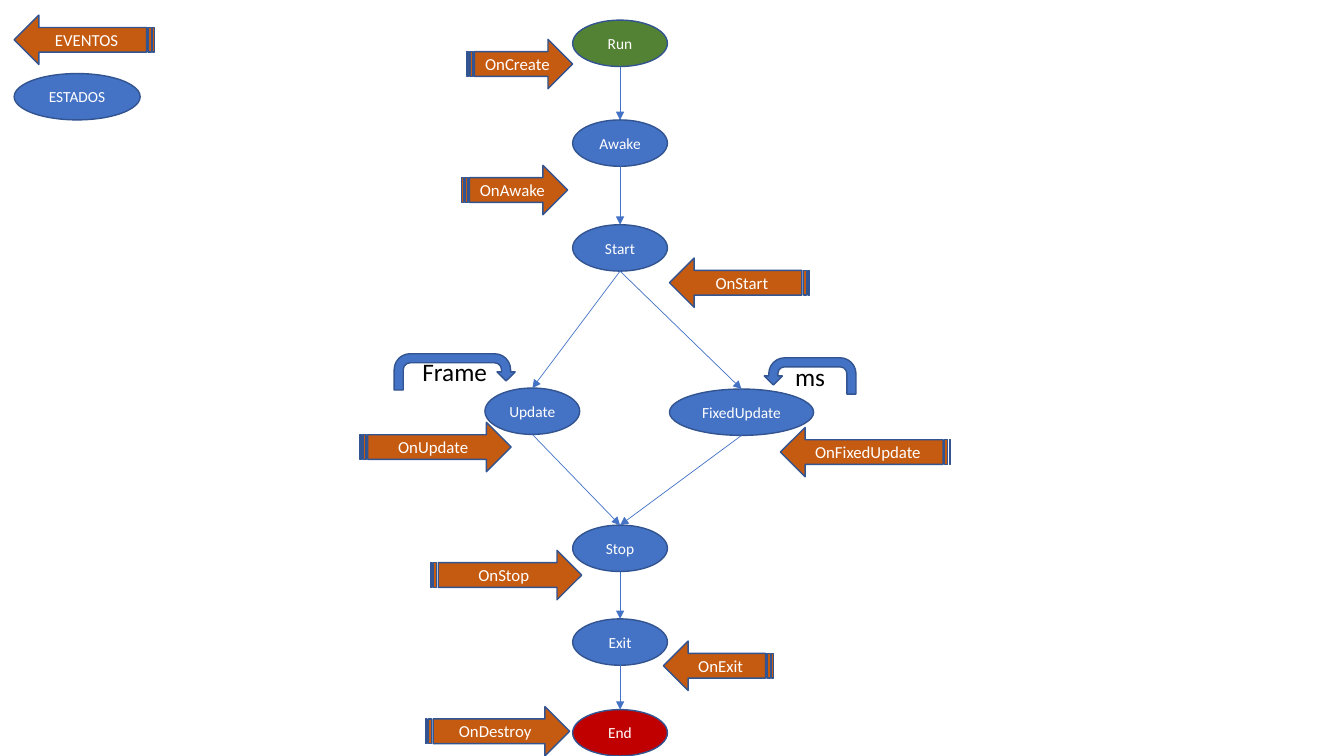
from lxml.etree import SubElement
from pptx import Presentation
from pptx.dml.color import RGBColor
from pptx.enum.shapes import MSO_CONNECTOR as LINK, MSO_SHAPE as SHAPE
from pptx.enum.text import MSO_ANCHOR, PP_ALIGN
from pptx.oxml.ns import qn
from pptx.util import Pt

PX = 9144  # 100 px to the inch
BLUE, ORANGE, GREEN, RED = "4472C4", "C55A11", "548235", "C00000"
OUTLINE, WHITE, BLACK = "325491", "FFFFFF", "000000"
STATE_HEIGHT, EVENT_HEIGHT, LOOP_HEIGHT = 46, 49, 36
ELLIPSE_BOTTOM = 4  # an ellipse has eight connection sites

# name: left, top, width, fill
STATES = {
    "Run": (568, 20, 94, GREEN),
    "Awake": (568, 119, 94, BLUE),
    "Start": (568, 223, 94, BLUE),
    "Update": (481, 385, 94, BLUE),
    "FixedUpdate": (664, 386, 143, BLUE),
    "Stop": (568, 521, 94, BLUE),
    "Exit": (568, 614, 94, BLUE),
    "End": (568, 704, 94, RED),
    "ESTADOS": (14, 73, 125, BLUE),
}
TRANSITIONS = [
    ("Run", "Awake"), ("Awake", "Start"),
    ("Start", "Update"), ("Start", "FixedUpdate"),
    ("Update", "Stop"), ("FixedUpdate", "Stop"),
    ("Stop", "Exit"), ("Exit", "End"),
]
# name, left, top, width, points left
EVENTS = [
    ("EVENTOS", 14, 15, 139, True),
    ("OnCreate", 463, 39, 105, False),
    ("OnAwake", 458, 164, 105, False),
    ("OnStart", 664, 256, 139, True),
    ("OnUpdate", 357, 419, 150, False),
    ("OnFixedUpdate", 774, 424, 169, True),
    ("OnStop", 427, 546, 150, False),
    ("OnExit", 658, 636, 109, True),
    ("OnDestroy", 422, 701, 143, False),
]
LOOPS = [("Frame", 391, 351, 120, False), ("ms", 758, 355, 91, True)]


def rgb(hex_color):
    return RGBColor.from_string(hex_color)


def add_labelled(slide, kind, label, box, fill, size, color=WHITE, flipped=False):
    shape = slide.shapes.add_shape(kind, *(n * PX for n in box))
    shape.shadow.inherit = False
    shape.fill.solid()
    shape.fill.fore_color.rgb = rgb(fill)
    shape.line.color.rgb = rgb(OUTLINE)
    shape.line.width = Pt(1)
    if flipped:
        shape._element.spPr.find(qn("a:xfrm")).set("flipH", "1")
    frame = shape.text_frame
    frame.vertical_anchor = MSO_ANCHOR.MIDDLE
    paragraph = frame.paragraphs[0]
    paragraph.alignment = PP_ALIGN.CENTER
    run = paragraph.add_run()
    run.text = label
    for name, value in {"name": "Calibri", "size": Pt(size)}.items():
        setattr(run.font, name, value)
    run.font.color.rgb = rgb(color)
    return shape


def add_state(slide, name, left, top, width, fill):
    box = (left, top, width, STATE_HEIGHT)
    return add_labelled(slide, SHAPE.OVAL, name, box, fill, 11)


def add_event(slide, name, left, top, width, points_left):
    box = (left, top, width, EVENT_HEIGHT)
    add_labelled(slide, SHAPE.STRIPED_RIGHT_ARROW, name, box, ORANGE, 12,
                 flipped=points_left)


def add_loop(slide, period, left, top, width, points_left):
    box = (left, top, width, LOOP_HEIGHT)
    add_labelled(slide, SHAPE.U_TURN_ARROW, period, box, BLUE, 18, BLACK,
                 points_left)


def add_transition(slide, source, target):
    """Draw an arrow from the bottom of one state to the top of the next."""
    arrow = slide.shapes.add_connector(LINK.STRAIGHT, 0, 0, 0, 0)
    arrow.begin_connect(source, 2)
    arrow._element.find(".//" + qn("a:stCxn")).set("idx", str(ELLIPSE_BOTTOM))
    arrow.end_connect(target, 0)
    arrow.line.color.rgb = rgb(BLUE)
    arrow.line.width = Pt(0.5)
    SubElement(arrow.line._get_or_add_ln(), qn("a:tailEnd"), type="triangle")
    SubElement(arrow._element.spPr, qn("a:effectLst"))


def main():
    deck = Presentation()
    deck.slide_width, deck.slide_height = 1333 * PX, 750 * PX
    slide = deck.slides.add_slide(deck.slide_layouts[6])
    states = {name: add_state(slide, name, *look) for name, look in STATES.items()}
    for source, target in TRANSITIONS:
        add_transition(slide, states[source], states[target])
    for loop in LOOPS:
        add_loop(slide, *loop)
    for event in EVENTS:
        add_event(slide, *event)
    deck.save("out.pptx")


if __name__ == "__main__":
    main()
